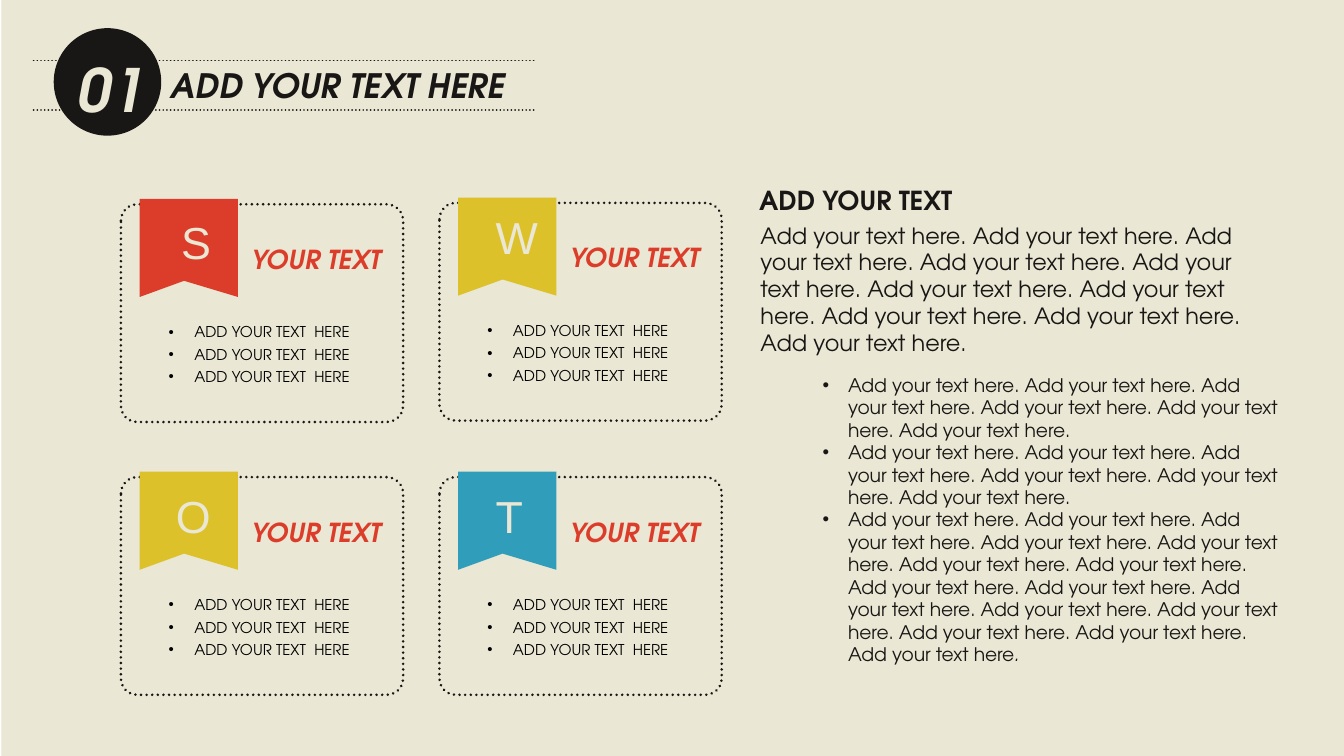
from lxml import etree
from pptx import Presentation
from pptx.dml.color import RGBColor
from pptx.enum.dml import MSO_LINE
from pptx.enum.shapes import MSO_CONNECTOR, MSO_SHAPE
from pptx.enum.text import MSO_ANCHOR, MSO_AUTO_SIZE, PP_ALIGN
from pptx.oxml.ns import qn
from pptx.util import Inches, Pt

DOTTED = MSO_LINE.ROUND_DOT
STRAIGHT = MSO_CONNECTOR.STRAIGHT
RECTANGLE, OVAL, ROUNDED = MSO_SHAPE.RECTANGLE, MSO_SHAPE.OVAL, MSO_SHAPE.ROUNDED_RECTANGLE
TOP = MSO_ANCHOR.TOP
GROW = MSO_AUTO_SIZE.SHAPE_TO_FIT_TEXT
LEFT, CENTER = PP_ALIGN.LEFT, PP_ALIGN.CENTER
INK, CREAM, RED, YELLOW, BLUE = "181715", "EAE7D4", "DC3D2A", "DCC12A", "309EBA"
FONT = "TeX Gyre Adventor"
SENTENCE = "Add your text here."


def paint(color_format, hex_color):
    color_format.rgb = RGBColor.from_string(hex_color)


def write(shape, box, paragraphs, size, color=INK, font=FONT, bold=False, italic=False,
          wrap=False, bullets=False, align=LEFT, spacing=None):
    shape.left, shape.top, shape.width, shape.height = [Inches(value) for value in box]
    frame = shape.text_frame
    frame.word_wrap = wrap
    frame.auto_size = GROW
    frame.vertical_anchor = TOP
    for index, runs in enumerate(paragraphs):
        paragraph = frame.add_paragraph() if index else frame.paragraphs[0]
        if bullets:
            properties = paragraph._p.get_or_add_pPr()
            properties.set("marL", str(Inches(0.19)))
            properties.set("indent", str(-Inches(0.19)))
            etree.SubElement(properties, qn("a:buFont"), typeface="Arial")
            etree.SubElement(properties, qn("a:buChar"), char="•")
        paragraph.alignment = align
        paragraph.space_before = Pt(0)
        paragraph.line_spacing = spacing
        for text, slanted in runs:
            run = paragraph.add_run()
            run.text = text
            run.font.name = font
            run.font.size = Pt(size)
            run.font.bold = bold
            run.font.italic = slanted or italic
            paint(run.font.color, color)


presentation = Presentation()
presentation.slide_width = Inches(10)
presentation.slide_height = presentation.slide_width * 9 // 16
slide = presentation.slides.add_slide(presentation.slide_layouts[1])
shapes = slide.shapes
title, body = slide.placeholders

background = shapes.add_shape(RECTANGLE, Inches(0.01), Inches(-0.02), Inches(9.99), Inches(5.65))
background.shadow.inherit = False
background.fill.solid()
paint(background.fill.fore_color, CREAM)
background.line.fill.background()
shapes._spTree.insert(2, background._element)

for height in (0.45, 0.82):
    rule = shapes.add_connector(STRAIGHT, Inches(0.25), Inches(height), Inches(3.98), Inches(height))
    paint(rule.line.color, INK)
    rule.line.width = Pt(1)
    rule.line.dash_style = DOTTED
    rule._element.spPr.find(qn("a:ln")).set("cap", "rnd")
    etree.SubElement(rule._element.spPr, qn("a:effectLst"))

badge = shapes.add_shape(OVAL, Inches(0.4), Inches(0.21), Inches(0.8), Inches(0.8))
badge.shadow.inherit = False
badge.fill.solid()
paint(badge.fill.fore_color, INK)
badge.line.fill.background()

write(title, (1.17, 0.43, 2.76, 0.4), [[("ADD YOUR TEXT HERE", False)]], 18, bold=True, italic=True)
number = shapes.add_textbox(0, 0, 0, 0)
write(number, (0.48, 0.34, 0.7, 0.64), [[("01", False)]], 32, CREAM, bold=True, italic=True)

cards = [
    ("S", RED, 0, 1.52, 0.35, 0.03, 0.4),
    ("W", YELLOW, 1, 1.51, 0.32, 0, 0.54),
    ("O", YELLOW, 0, 3.55, 0.31, 0.04, 0.46),
    ("T", BLUE, 1, 3.55, 0.32, 0.04, 0.44),
]
for letter, color, column, top, letter_x, letter_y, letter_width in cards:
    left = 0.9 + 2.37 * column
    card = shapes.add_shape(ROUNDED, Inches(left), Inches(top), Inches(2.1), Inches(1.62))
    card.shadow.inherit = False
    card.adjustments[0] = 0.075
    card.fill.background()
    paint(card.line.color, INK)
    card.line.width = Pt(1.5)
    card.line.dash_style = DOTTED
    card._element.spPr.find(qn("a:ln")).set("cap", "rnd")

    corners = [(Inches(left + x), Inches(top + y)) for x, y in
               [(0.14, -0.04), (0.87, -0.04), (0.87, 0.69), (0.47, 0.57), (0.14, 0.69)]]
    builder = shapes.build_freeform(*corners[0])
    builder.add_line_segments(corners[1:], close=True)
    ribbon = builder.convert_to_shape()
    ribbon.shadow.inherit = False
    ribbon.fill.solid()
    paint(ribbon.fill.fore_color, color)
    ribbon.line.fill.background()

    write(shapes.add_textbox(0, 0, 0, 0), (left + letter_x, top + letter_y, letter_width, 0.51),
          [[(letter, False)]], 24, CREAM, font="Arial")
    write(shapes.add_textbox(0, 0, 0, 0), (left + 0.25, top + 0.8, 1.56, 0.61),
          [[("ADD YOUR TEXT  HERE", False)]] * 3, 8, "000000",
          wrap=True, bullets=True, align=CENTER, spacing=Pt(12))
    write(shapes.add_textbox(0, 0, 0, 0), (left + 0.87, top + 0.24, 1.18, 0.34),
          [[("YOUR TEXT", False)]], 14, RED, bold=True, italic=True)

write(shapes.add_textbox(0, 0, 0, 0), (5.56, 1.6, 3.85, 1.11),
      [[(" ".join([SENTENCE] * 10), False)]], 12, wrap=True)
write(shapes.add_textbox(0, 0, 0, 0), (5.55, 1.32, 1.65, 0.34),
      [[("ADD YOUR TEXT", False)]], 14, bold=True)

short_item = [(" ".join([SENTENCE] * 6), False)]
long_item = [(" ".join([SENTENCE] * 15)[:-1], False), (".", True)]
write(body, (6.02, 2.73, 3.62, 2.29), [short_item, short_item, long_item], 10,
      wrap=True, bullets=True)

presentation.save("out.pptx")
